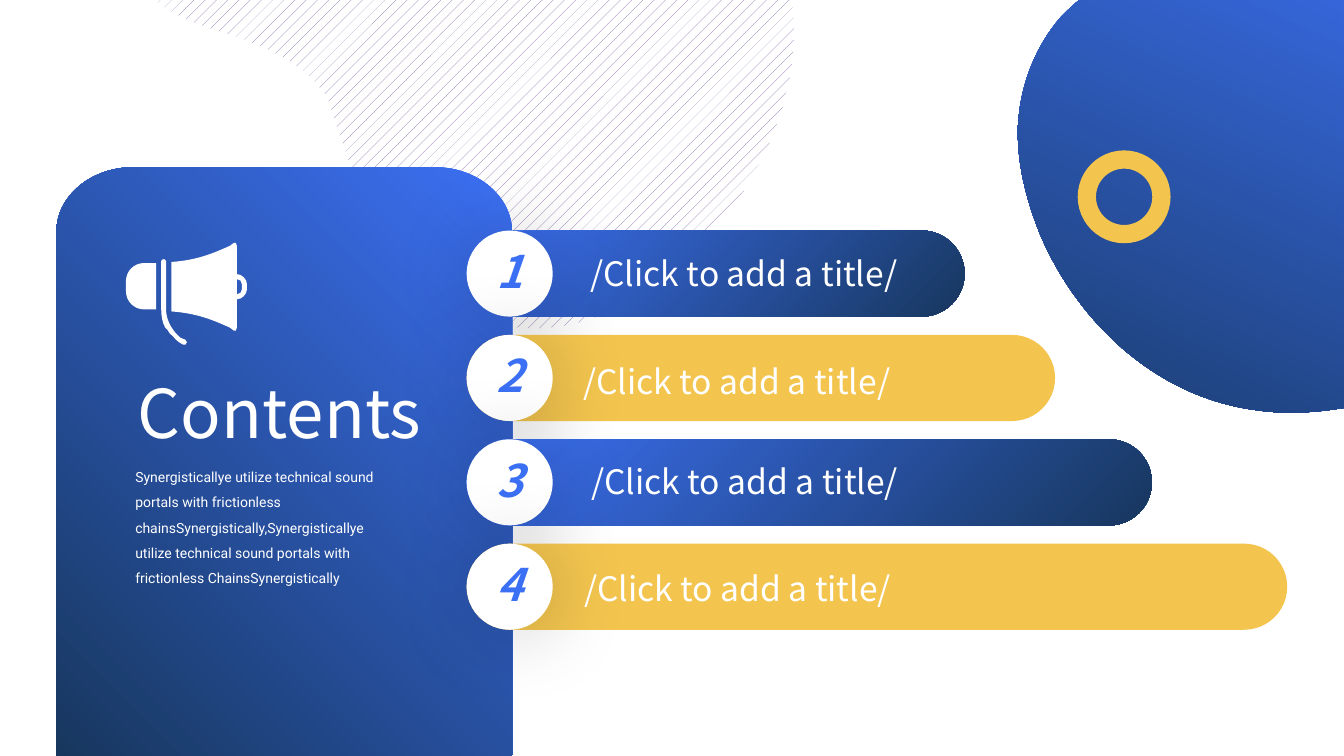
import math

import lxml.etree
import pptx
import pptx.dml.color
import pptx.enum.dml
import pptx.enum.shapes
import pptx.enum.text
import pptx.oxml.ns
import pptx.util

Cm = pptx.util.Cm
Pt = pptx.util.Pt
Kind = pptx.enum.shapes.MSO_SHAPE
Align = pptx.enum.text.PP_ALIGN
Anchor = pptx.enum.text.MSO_ANCHOR
qn = pptx.oxml.ns.qn

SANS, BODY = "Noto Sans CJK SC", "Roboto"
BLUE, NAVY, GOLD, WHITE = "3C70F4", "17375E", "F3C54F", "FFFFFF"
UNIT = Cm(2.54) / 100

BLOB = [[
    (1071, 0), (1333, 0), (1333, 405), (1326, 406),
    (1299, 410, 1272, 411, 1246, 407), (1147, 394, 1070, 320, 1033, 235),
    (1019, 201, 1009, 164, 1010, 126), (1012, 88, 1025, 50, 1051, 19),
    (1055, 14, 1060, 10, 1064, 6),
]]
WAVE = [[
    (148, 0), (784, 0), (785, 4), (797, 92, 756, 182, 695, 247),
    (668, 275, 637, 299, 601, 314), (566, 329, 526, 334, 488, 324),
    (442, 311, 404, 275, 378, 234), (355, 195, 341, 152, 327, 109),
    (325, 102, 322, 96, 317, 91), (289, 56, 243, 43, 200, 29),
    (184, 23, 169, 16, 157, 7),
]]
PANEL = [[
    (508, 230), (508, 750), (56, 750), (56, 230),
    (56, 195, 90, 166, 132, 166), (432, 166), (474, 166, 508, 195, 508, 230),
]]
HORN = [
    [(235, 272), (235, 244), (235, 243, 235, 243, 234, 241), (232, 241),
     (228, 244), (212, 251, 197, 258, 170, 260), (170, 309),
     (197, 311, 212, 318, 228, 325), (232, 328), (234, 328), (235, 325),
     (235, 297), (240, 297, 245, 292, 245, 287), (245, 282),
     (245, 277, 240, 272, 235, 272)],
    [(240, 287), (240, 290, 238, 292, 235, 292), (235, 277),
     (238, 277, 240, 279, 240, 282)],
]
BACK = [[
    (143, 261), (133, 261, 125, 269, 125, 279), (125, 289),
    (125, 299, 133, 307, 143, 307), (155, 307), (155, 261),
]]
CORD = [[
    (184, 337), (183, 337, 182, 336, 179, 335), (172, 329, 166, 320, 165, 310),
    (165, 259), (165, 258, 164, 257, 163, 257), (161, 257, 160, 258, 160, 259),
    (160, 307), (160, 313, 161, 320, 164, 325), (166, 327),
    (168, 330, 169, 332, 172, 334), (174, 337, 178, 340, 182, 342),
    (184, 342), (186, 340, 186, 339, 184, 337),
]]

BARS = [
    (12.55, True, 14.33, 6.25),
    (14.83, False, 14.15, 8.97),
    (17.27, True, 14.35, 11.48),
    (20.68, False, 14.17, 14.19),
]
BAR_LEFT, BAR_TOP, BAR_STEP, BAR_SIZE = 11.76, 5.81, 2.63, 2.17


def tint(code):
    """Turn a hex string into a colour."""
    return pptx.dml.color.RGBColor.from_string(code)


def trace(path, turn, mid):
    """List the points of a path, turned back about a centre."""
    cos, sin = math.cos(math.radians(turn)), math.sin(math.radians(turn))
    points = []
    for step in path:
        for x, y in zip(step[::2], step[1::2]):
            x, y = x - mid[0], y - mid[1]
            points.append(((mid[0] + x * cos + y * sin) * UNIT,
                           (mid[1] - x * sin + y * cos) * UNIT))
    return points


def bend(shape, paths):
    """Join each three control points into a curve."""
    lines = iter(list(shape.element.iter(qn("a:lnTo"))))
    for step in (step for path in paths for step in path[1:]):
        group = [next(lines) for _ in range(len(step) // 2)]
        if len(group) == 3:
            curve = lxml.etree.Element(qn("a:cubicBezTo"))
            group[0].addprevious(curve)
            for line in group:
                curve.append(line[0])
                line.getparent().remove(line)


def plain(shape):
    """Remove the line and shadow of a shape."""
    shape.line.fill.background()
    shape.shadow.inherit = False
    return shape


def paint(shape, code):
    """Fill a shape with one colour."""
    shape.fill.solid()
    shape.fill.fore_color.rgb = tint(code)


def blend(shape, angle=315):
    """Fill a shape with the blue gradient."""
    shape.fill.gradient()
    shape.fill.gradient_angle = angle
    for stop, code in zip(shape.fill.gradient_stops, (BLUE, NAVY)):
        stop.color.rgb = tint(code)


def hatch(shape):
    """Fill a shape with a fine pattern."""
    shape.fill.patterned()
    shape.fill.pattern = pptx.enum.dml.MSO_PATTERN.PERCENT_10
    shape.fill.fore_color.rgb = tint("8064A2")
    shape.fill.back_color.rgb = tint(WHITE)


def outline(host, paths, turn=0, mid=(0, 0)):
    """Draw closed curved paths as one shape."""
    first, *rest = [trace(path, turn, mid) for path in paths]
    pen = host.shapes.build_freeform(*first[0], scale=1.0)
    pen.add_line_segments(first[1:], close=True)
    for points in rest:
        pen.move_to(*points[0])
        pen.add_line_segments(points[1:], close=True)
    shape = plain(pen.convert_to_shape())
    bend(shape, paths)
    shape.rotation = turn
    return shape


def preset(slide, kind, left, top, width, height):
    """Add a preset shape."""
    return plain(slide.shapes.add_shape(kind, Cm(left), Cm(top), Cm(width), Cm(height)))


def write(box, text, size, code, font=SANS, align=Align.CENTER, anchor=Anchor.TOP, inset=True):
    """Put styled text in a box."""
    frame = box.text_frame
    frame.word_wrap = True
    frame.auto_size = pptx.enum.text.MSO_AUTO_SIZE.NONE
    frame.vertical_anchor = anchor
    if not inset:
        frame.margin_left = frame.margin_right = frame.margin_top = frame.margin_bottom = 0
    frame.text = text
    line = frame.paragraphs[0]
    line.alignment = align
    line.font.name = font
    line.font.size = Pt(size)
    line.font.color.rgb = tint(code)
    return line


def label(slide, left, top, width, height, *args, **style):
    """Add a text box."""
    box = slide.shapes.add_textbox(Cm(left), Cm(top), Cm(width), Cm(height))
    return write(box, *args, **style)


def glow(shape):
    """Give a shape a wide soft shadow."""
    effects = shape.element.find(".//" + qn("a:effectLst"))
    shade = lxml.etree.SubElement(
        effects, qn("a:outerShdw"), blurRad=str(Pt(59)), dist=str(Pt(3)),
        dir="2700000", algn="tl", rotWithShape="0")
    hue = lxml.etree.SubElement(shade, qn("a:srgbClr"), val="000000")
    lxml.etree.SubElement(hue, qn("a:alpha"), val="20000")


def item(slide, index, width, dark, left, top):
    """Add one numbered bar."""
    level = BAR_TOP + index * BAR_STEP
    bar = preset(slide, Kind.ROUNDED_RECTANGLE, BAR_LEFT, level, width, BAR_SIZE)
    bar.adjustments[0] = 0.5
    if dark:
        blend(bar)
    else:
        paint(bar, GOLD)
    disc = preset(slide, Kind.OVAL, BAR_LEFT, level, BAR_SIZE, BAR_SIZE)
    paint(disc, WHITE)
    glow(disc)
    line = label(slide, 12.19, level + 0.32, 1.32, 1.37, str(index + 1), 32, BLUE,
                 anchor=Anchor.MIDDLE, inset=False)
    line.font.bold = line.font.italic = True
    label(slide, left, top, 8.84, 1.27, "/Click to add a title/", 24, WHITE)


def head(slide, text):
    """Place the title in front of the panel."""
    title = slide.shapes.title
    title.left, title.top, title.width, title.height = Cm(2.46), Cm(9.24), Cm(9.17), Cm(2.31)
    write(title, text, 48, WHITE)
    title.element.getparent().append(title.element)


def main():
    """Build the contents slide."""
    deck = pptx.Presentation()
    deck.slide_width, deck.slide_height = Cm(33.87), Cm(19.05)
    slide = deck.slides.add_slide(deck.slide_layouts[5])
    blend(outline(slide, BLOB, 339.5, (1213, 198.5)), 225)
    hatch(outline(slide, WAVE, 226.5, (507, 43)))
    blend(outline(slide, PANEL, 90, (282, 458)))
    for index, bar in enumerate(BARS):
        item(slide, index, *bar)
    horn = slide.shapes.add_group_shape()
    for part in (HORN, BACK, CORD):
        paint(outline(horn, part), WHITE)
    head(slide, "Contents")
    note = label(
        slide, 3.41, 11.6, 6.76, 3.2,
        "Synergisticallye utilize technical sound portals with frictionless "
        "chainsSynergistically,Synergisticallye utilize technical sound portals "
        "with frictionless ChainsSynergistically",
        10, WHITE, font=BODY, align=Align.LEFT, inset=False)
    note.line_spacing = 1.5
    ring = preset(slide, Kind.OVAL, 27.39, 4.02, 1.88, 1.88)
    ring.fill.background()
    ring.line.color.rgb = tint(GOLD)
    ring.line.width = Pt(13)
    deck.save("out.pptx")


if __name__ == "__main__":
    main()
